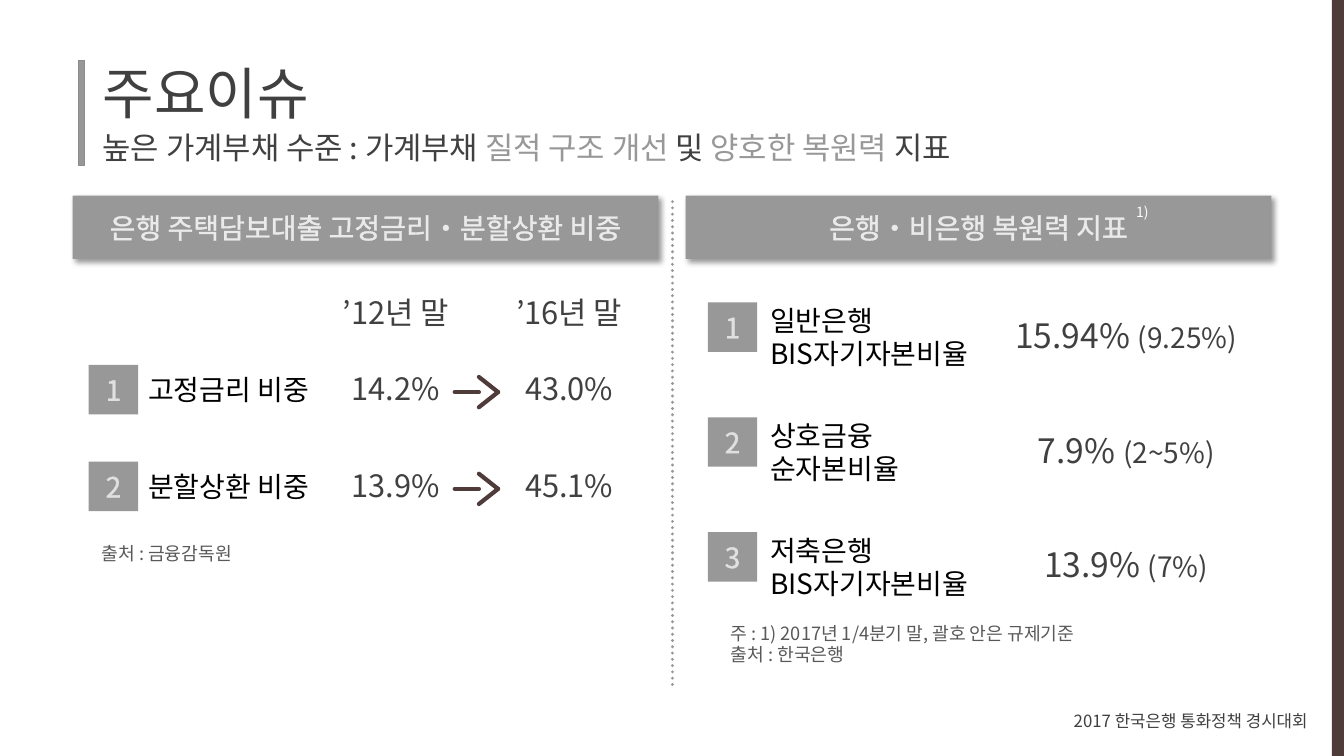
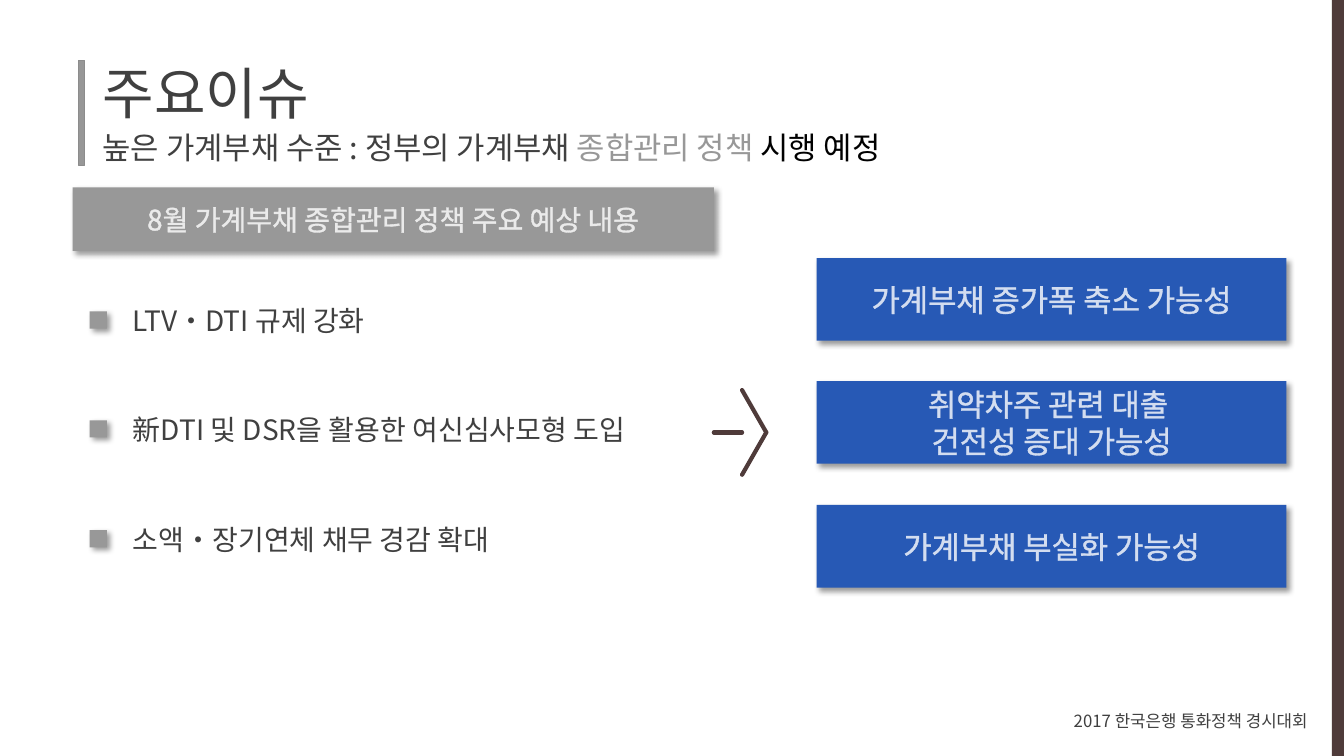
from lxml import etree
from pptx import Presentation
from pptx.dml.color import RGBColor
from pptx.enum.dml import MSO_LINE
from pptx.enum.shapes import MSO_CONNECTOR, MSO_SHAPE
from pptx.enum.text import MSO_ANCHOR, MSO_AUTO_SIZE, PP_ALIGN
from pptx.oxml.ns import qn
from pptx.util import Pt

# ---------- content ----------
TITLE = "주요이슈"
FOOTER = "2017 한국은행 통화정책 경시대회"

# A run is (text, colour, size); None keeps the value of the style
SUB_RATIOS = [[("높은 가계부채 수준 : 가계부채 ", None, None),
               ("질적 구조 개선", "gray", None), (" 및", None, None),
               (" 양호한 복원력 ", "gray", None), ("지표", None, None)]]
SUB_POLICY = [[("높은 가계부채 수준 : 정부의 가계부채 ", None, None),
               ("종합관리 정책", "gray", None), (" 시행 예정", "black", None)]]

LOAN_BAND = "은행 주택담보대출 고정금리‧분할상환 비중"
YEARS = ["’12년 말", "’16년 말"]
LOANS = [("고정금리 비중", ["14.2%", "43.0%"]),
         ("분할상환 비중", ["13.9%", "45.1%"])]
LOAN_SOURCE = "출처 : 금융감독원"

RATIO_BAND = "은행‧비은행 복원력 지표"
RATIO_MARK = "1)"
RATIOS = [("일반은행\nBIS자기자본비율", "15.94% ", "(9.25%)"),
          ("상호금융\n순자본비율", "7.9% ", "(2~5%)"),
          ("저축은행\nBIS자기자본비율", "13.9% ", "(7%)")]
RATIO_SOURCE = "주 : 1) 2017년 1/4분기 말, 괄호 안은 규제기준\n출처 : 한국은행"

POLICY_BAND = "8월 가계부채 종합관리 정책 주요 예상 내용"
POLICIES = ["LTV‧DTI 규제 강화",
            "新DTI 및 DSR을 활용한 여신심사모형 도입",
            "소액‧장기연체 채무 경감 확대"]
OUTCOMES = ["가계부채 증가폭 축소 가능성",
            "취약차주 관련 대출 \n건전성 증대 가능성",
            "가계부채 부실화 가능성"]

# ---------- look ----------
PX = 9144  # 100 px to the inch
FONT = "Noto Sans CJK KR"
COLORS = {"white": "FFFFFF", "black": "000000", "text": "404040", "note": "595959",
          "gray": "989898", "rule": "8C8C8C", "brown": "4F3B3A", "blue": "2759B5"}
L, C, R = PP_ALIGN.LEFT, PP_ALIGN.CENTER, PP_ALIGN.RIGHT
TOP, MID = MSO_ANCHOR.TOP, MSO_ANCHOR.MIDDLE

# size, colour, outline (colour, pt, opacity), align, anchor, line spacing, space before
STYLES = {
    "title": (40, "text", ("text", 1, 70), L, MID, 0.9, 0),
    "subtitle": (22, "text", ("text", 0.75, 40), L, TOP, 0.9, 10),
    "footer": (12, "text", None, R, MID, 1, 0),
    "band": (20, "white", ("white", 1, 80), C, MID, 1, 0),
    "outcome": (22, "white", ("white", 1, 80), C, MID, 1, 0),
    "badge": (20, "white", ("white", 1, 70), C, MID, 1, 0),
    "label": (20, "black", ("black", 1, 70), L, TOP, 1, 0),
    "policy": (20, "text", ("black", 1, 40), L, TOP, 1, 0),
    "value": (22, "text", ("black", 0.75, 50), C, MID, 0.9, 10),
    "ratio": (24, "text", ("black", 0.75, 50), C, MID, 0.9, 10),
    "note": (13, "note", None, L, TOP, 1, 0),
    "mark": (10, "white", None, L, TOP, 1, 0),
}


# ---------- helpers ----------
def rgb(name):
    return RGBColor.from_string(COLORS[name])


def emu(*lengths):
    return [v * PX for v in lengths]


def set_alpha(parent, opacity):
    clr = next(parent.iter(qn("a:srgbClr")))
    etree.SubElement(clr, qn("a:alpha"), val=str(opacity * 1000))


def add_outline(rPr, color, width, opacity):
    ln = etree.Element(qn("a:ln"), w=str(Pt(width)))
    fill = etree.SubElement(ln, qn("a:solidFill"))
    etree.SubElement(fill, qn("a:srgbClr"), val=COLORS[color])
    set_alpha(ln, opacity)
    rPr.insert(0, ln)


def write(sp, content, style):
    size, color, outline, align, anchor, spacing, before = STYLES[style]
    if isinstance(content, str):
        content = [[(line, None, None)] for line in content.split("\n")]
    tf = sp.text_frame
    tf.word_wrap = True
    tf.auto_size = MSO_AUTO_SIZE.NONE
    tf.vertical_anchor = anchor
    for i, runs in enumerate(content):
        p = tf.add_paragraph() if i else tf.paragraphs[0]
        p.alignment, p.line_spacing, p.space_before = align, spacing, Pt(before)
        for text, run_color, run_size in runs:
            r = p.add_run()
            r.text = text
            r.font.name = FONT
            r.font.size = Pt(run_size or size)
            r.font.color.rgb = rgb(run_color or color)
            rPr = r.font._element
            etree.SubElement(rPr, qn("a:ea"), typeface=FONT)
            if outline:
                add_outline(rPr, *outline)


def add_text(s, box, content, style):
    sp = s.shapes.add_textbox(*emu(*box))
    write(sp, content, style)
    return sp


def add_box(s, box, fill, content=None, style=None, shadow=False):
    sp = s.shapes.add_shape(MSO_SHAPE.RECTANGLE, *emu(*box))
    sp.shadow.inherit = False
    sp.fill.solid()
    sp.fill.fore_color.rgb = rgb(fill)
    sp.line.fill.background()
    if shadow:
        effects = sp._element.spPr.find(qn("a:effectLst"))
        shade = etree.SubElement(effects, qn("a:outerShdw"), blurRad=str(Pt(4)),
                                 dist=str(Pt(3)), dir=str(45 * 60000),
                                 algn="tl", rotWithShape="0")
        etree.SubElement(shade, qn("a:srgbClr"), val=COLORS["black"])
        set_alpha(shade, 40)
    if content:
        write(sp, content, style)
    return sp


def add_line(s, ends, color, width):
    cn = s.shapes.add_connector(MSO_CONNECTOR.STRAIGHT, *emu(*ends))
    cn.line.color.rgb = rgb(color)
    cn.line.width = Pt(width)
    cn.line._ln.set("cap", "rnd")
    etree.SubElement(cn._element.spPr, qn("a:effectLst"))
    return cn


def add_arrow(s, tip, y, head_w, head_h, length):
    for ends in [(tip - head_w, y - head_h, tip, y),
                 (tip, y, tip - head_w, y + head_h),
                 (tip - head_w, y, tip - length, y)]:
        add_line(s, ends, "brown", 3)


def add_band(s, x, y, w, text):
    add_box(s, (x, y, w, 63), "gray", text, "band", shadow=True)


def add_badge(s, x, y, number):
    add_box(s, (x, y, 49, 49), "gray", str(number), "badge")


def dress_layout(s, layout):
    """Put the side bar, the right edge and the footer on the layout."""
    for ph in list(layout.placeholders):
        if ph.placeholder_format.idx:
            layout.shapes.element.remove(ph.element)
    bar = add_box(s, (78, 60, 6, 104), "rule")
    set_alpha(bar._element.spPr, 90)
    bar.line.color.rgb = rgb("rule")
    bar.line.width = Pt(1)
    edge = add_box(s, (1321, 0, 13, 750), "brown")
    foot = add_text(s, (857, 695, 450, 40), FOOTER, "footer")
    for sp in (bar, edge, foot):
        layout.shapes.element.append(sp.element)


def add_slide(prs, layout, subtitle):
    s = prs.slides.add_slide(layout)
    title = s.shapes.title
    title.left, title.top, title.width, title.height = emu(92, 23, 487, 145)
    write(title, TITLE, "title")
    add_text(s, (92, 127, 993, 60), subtitle, "subtitle")
    return s


# ---------- slides ----------
def fill_ratios(s):
    # Left half: loan shares by year
    add_band(s, 72, 194, 581, LOAN_BAND)
    columns = [309, 481]
    for x, year in zip(columns, YEARS):
        add_text(s, (x, 285, 167, 55), year, "value")
    for i, (label, values) in enumerate(LOANS):
        y = 362 + 96 * i
        add_badge(s, 88, y, i + 1)
        add_text(s, (137, y + 3, 218, 44), label, "label")
        for x, value in zip(columns, values):
            add_text(s, (x, y - 2, 167, 55), value, "value")
        add_arrow(s, 494, y + 27, 19, 15, 43)
    add_text(s, (91, 533, 280, 32), LOAN_SOURCE, "note")

    # Divider
    rule = add_line(s, (667, 200, 667, 685), "rule", 2.25)
    rule.line.dash_style = MSO_LINE.ROUND_DOT
    set_alpha(rule._element.spPr, 89)

    # Right half: resilience ratios
    add_band(s, 680, 194, 581, RATIO_BAND)
    add_text(s, (1117, 197, 42, 28), RATIO_MARK, "mark")
    for i, (label, value, limit) in enumerate(RATIOS):
        y = 300 + 114 * i
        add_badge(s, 702, y, i + 1)
        add_text(s, (754, y - 4, 245, 77), label, "label")
        add_text(s, (969, y + 7, 296, 55),
                 [[(value, None, None), (limit, None, 20)]], "ratio")
    add_text(s, (715, 612, 406, 54), RATIO_SOURCE, "note")


def fill_policy(s):
    # Left: expected measures
    add_band(s, 72, 186, 636, POLICY_BAND)
    for i, policy in enumerate(POLICIES):
        y = 296 + 217 * i // 2
        add_box(s, (89, y + 13, 17, 17), "gray", shadow=True)
        add_text(s, (122, y, 556, 44), policy, "policy")

    # Right: likely outcomes
    add_arrow(s, 760, 429, 24, 42, 52)
    for i, outcome in enumerate(OUTCOMES):
        add_box(s, (810, 256 + 245 * i // 2, 466, 82), "blue", outcome, "outcome",
                shadow=True)


def main():
    prs = Presentation()
    prs.slide_width, prs.slide_height = emu(1333, 750)
    layout = prs.slide_layouts[5]
    ratios = add_slide(prs, layout, SUB_RATIOS)
    dress_layout(ratios, layout)
    fill_ratios(ratios)
    fill_policy(add_slide(prs, layout, SUB_POLICY))
    prs.save("out.pptx")


if __name__ == "__main__":
    main()
